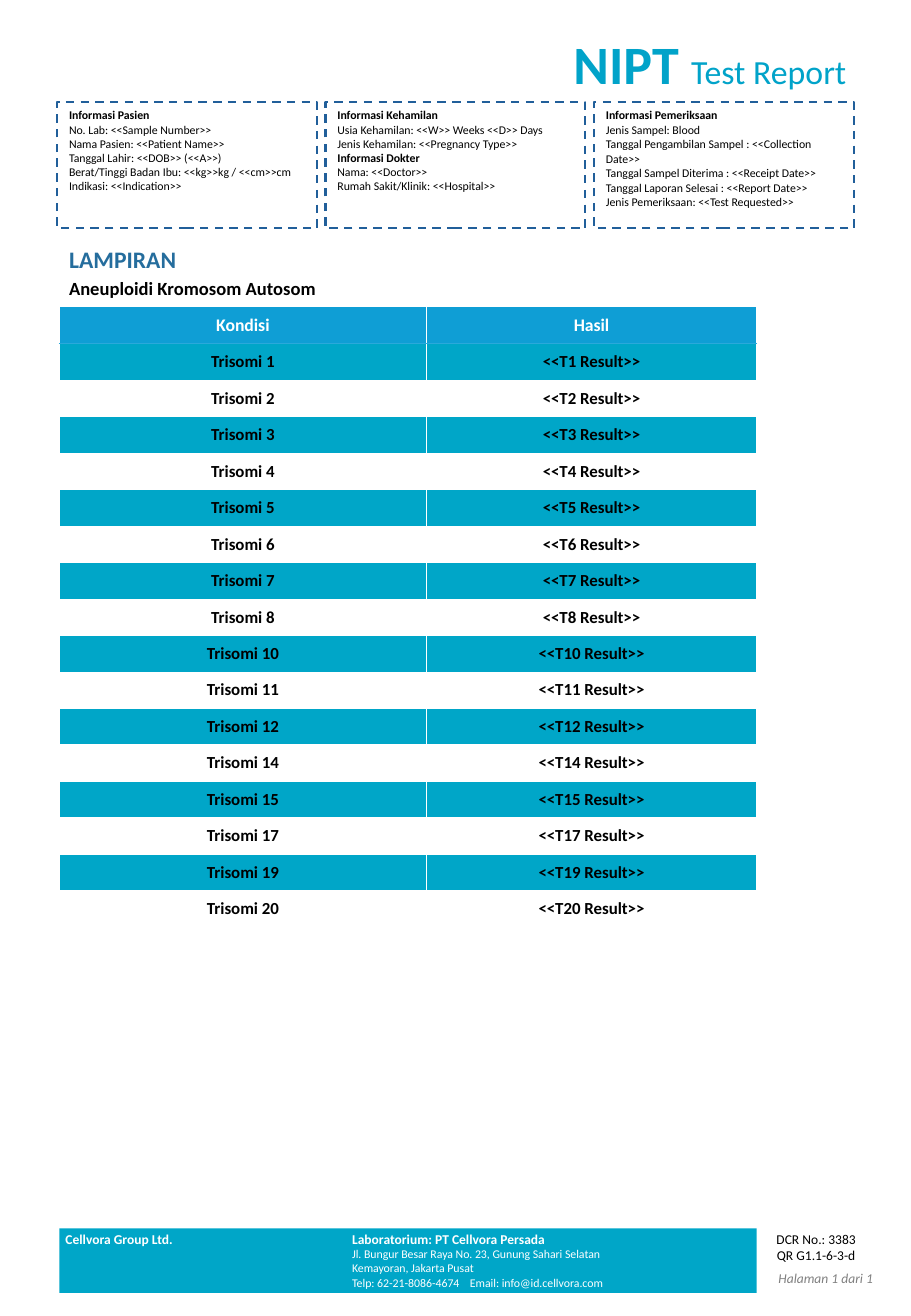
from lxml import etree
from pptx import Presentation, util as u
from pptx.dml.color import RGBColor
from pptx.enum import dml, shapes, text
from pptx.oxml import ns

PX = 9144  # EMU: 100 px to the inch
FONT = "Calibri"
COLORS = {
    "title": "01A3C9", "heading": "256D9D", "panel": "215F9A", "band": "00A6C8",
    "header": "0F9ED5", "header_line": "2AA9DB", "grey": "808080",
    "black": "000000", "white": "FFFFFF",
}
LEFT, CENTER, JUSTIFY = text.PP_ALIGN.LEFT, text.PP_ALIGN.CENTER, text.PP_ALIGN.JUSTIFY

PATIENT = [
    ("Informasi Pasien", True), "No. Lab: <<Sample Number>>", "Nama Pasien: <<Patient Name>>",
    "Tanggal Lahir: <<DOB>> (<<A>>)", "Berat/Tinggi Badan Ibu: <<kg>>kg / <<cm>>cm",
    "Indikasi: <<Indication>>",
]
PREGNANCY = [
    ("Informasi Kehamilan", True), "Usia Kehamilan: <<W>> Weeks <<D>> Days",
    "Jenis Kehamilan: <<Pregnancy Type>>", ("Informasi Dokter", True),
    "Nama: <<Doctor>>", "Rumah Sakit/Klinik: <<Hospital>>",
]
EXAMINATION = [
    ("Informasi Pemeriksaan", True), "Jenis Sampel: Blood",
    "Tanggal Pengambilan Sampel : <<Collection Date>>",
    "Tanggal Sampel Diterima : <<Receipt Date>>",
    "Tanggal Laporan Selesai : <<Report Date>>", "Jenis Pemeriksaan: <<Test Requested>>",
]
TRISOMIES = [1, 2, 3, 4, 5, 6, 7, 8, 10, 11, 12, 14, 15, 17, 19, 20]


def px(*lengths):
    return [u.Emu(length * PX) for length in lengths]


def rgb(name):
    return RGBColor.from_string(COLORS[name])


def style(font, size=None, color=None, bold=None, italic=None):
    font.name = FONT
    font.bold, font.italic = bold, italic
    if size:
        font.size = u.Pt(size)
    if color:
        font.color.rgb = rgb(color)


def add_tab(para, position):
    tabs = etree.SubElement(para._p.get_or_add_pPr(), ns.qn("a:tabLst"))
    etree.SubElement(tabs, ns.qn("a:tab"), pos=str(position * PX), algn="l")


def add_text(page, box, lines, size, color, align=LEFT, italic=None):
    """Each line is a string, or a tuple of string, bold and optional size."""
    frame = page.shapes.add_textbox(*px(*box)).text_frame
    frame.word_wrap = True
    frame.auto_size = text.MSO_AUTO_SIZE.SHAPE_TO_FIT_TEXT
    for index, line in enumerate(lines):
        words, bold, *own_size = line if isinstance(line, tuple) else (line, False)
        para = frame.add_paragraph() if index else frame.paragraphs[0]
        para.add_run().text = words
        para.alignment = align
        if "\t" in words:
            add_tab(para, 118 * 100 // 121)
        style(para.font, own_size[0] if own_size else size, color, bold, italic)
    return frame


def add_rect(page, box):
    rect = page.shapes.add_shape(shapes.MSO_SHAPE.RECTANGLE, *px(*box))
    rect.shadow.inherit = False
    return rect


def add_title(page, box):
    title = page.shapes.title
    title.left, title.top, title.width, title.height = px(*box)
    frame = title.text_frame
    frame.word_wrap = False
    frame.auto_size = text.MSO_AUTO_SIZE.SHAPE_TO_FIT_TEXT
    frame.vertical_anchor = text.MSO_ANCHOR.TOP
    para = frame.paragraphs[0]
    para.alignment = CENTER
    style(para.font, color="title")
    for words, size, bold in (("NIPT ", 32, True), ("Test Report", 20, False)):
        span = para.add_run()
        span.text = words
        span.font.size, span.font.bold = u.Pt(size), bold


def add_panels(page, box):
    left, top, width, height = box
    gap = 7
    panel_width = (width - 2 * gap) // 3
    for index, lines in enumerate((PATIENT, PREGNANCY, EXAMINATION)):
        x = left + index * (panel_width + gap)
        panel = add_rect(page, (x, top, panel_width, height))
        panel.fill.background()
        panel.line.color.rgb = rgb("panel")
        panel.line.width = u.Pt(1.25)
        panel.line.dash_style = dml.MSO_LINE.DASH
        frame = add_text(page, (x, top, panel_width, 81), lines, 7, "black")
        if lines is EXAMINATION:
            for para in frame.paragraphs[2:5]:
                para.space_before = u.Pt(0.4)


def add_border(cell, side, color):
    line = etree.SubElement(cell._tc.get_or_add_tcPr(), ns.qn(f"a:ln{side}"), w=str(u.Pt(0.5)))
    fill = etree.SubElement(line, ns.qn("a:solidFill"))
    etree.SubElement(fill, ns.qn("a:srgbClr"), val=COLORS[color])


def fill_cell(cell, color, opacity=100):
    cell.fill.solid()
    cell.fill.fore_color.rgb = rgb(color)
    if opacity < 100:
        tint = cell._tc.tcPr.find(".//" + ns.qn("a:srgbClr"))
        etree.SubElement(tint, ns.qn("a:alpha"), val=str(opacity * 1000))


def add_results(page, box):
    rows = [("Kondisi", "Hasil")]
    rows += [(f"Trisomi {number}", f"<<T{number} Result>>") for number in TRISOMIES]
    table = page.shapes.add_table(len(rows), 2, *px(*box)).table
    table.first_row = table.horz_banding = False
    table.columns[0].width, table.columns[1].width = px(302, box[2] - 302)
    for r, row in enumerate(rows):
        table.rows[r].height = px(30 if r else 31)[0]
        for c, words in enumerate(row):
            cell = table.cell(r, c)
            cell.vertical_anchor = text.MSO_ANCHOR.MIDDLE
            if c:
                add_border(cell, "L", "white")
            add_border(cell, "R", "white")
            add_border(cell, "T", "header_line" if r == 1 else "white")
            add_border(cell, "B", "white" if r else "header_line")
            if r:
                fill_cell(cell, "band" if r % 2 else "white", 10)
            else:
                fill_cell(cell, "header")
            para = cell.text_frame.paragraphs[0]
            para.add_run().text = words
            para.alignment = CENTER
            style(para.font, 10 if r else 10.5, "black" if r else "white", True)


def add_footer(page, box):
    left, top, width, height = box
    band = add_rect(page, box)
    band.fill.solid()
    band.fill.fore_color.rgb = rgb("band")
    band.line.fill.background()
    text_top = top - 3
    add_text(page, (left - 5, text_top, 298, 24), [("Cellvora Group Ltd.", True)], 8, "white")
    laboratory = [
        ("Laboratorium: PT Cellvora Persada", True, 8),
        "Jl. Bungur Besar Raya No. 23, Gunung Sahari Selatan",
        "Kemayoran, Jakarta Pusat",
        "Telp: 62-21-8086-4674\tEmail: info@id.cellvora.com",
    ]
    add_text(page, (left + 231, text_top, 355, 59), laboratory, 7, "white")
    # Document number and page number beside the band
    right = left + width
    add_text(page, (right + 2, text_top, 94, 37), ["DCR No.: 3383", "QR G1.1-6-3-d"],
             8, "black", CENTER)
    add_text(page, (right + 8, top + 29, 102, 24), ["Halaman 1 dari 1"], 8, "grey", italic=True)


def main():
    deck = Presentation()
    deck.slide_width, deck.slide_height = px(750, 1083)
    page = deck.slides.add_slide(deck.slide_layouts[5])
    # Report head
    add_title(page, (461, 20, 247, 64))
    add_panels(page, (47, 84, 656, 104))
    # Appendix
    add_text(page, (47, 197, 409, 34), [("LAMPIRAN", True)], 14, "heading")
    add_text(page, (47, 223, 656, 29), [("Aneuploidi Kromosom Autosom", True)],
             11, "black", JUSTIFY)
    add_results(page, (49, 252, 574, 511))
    # Page foot
    add_footer(page, (49, 1011, 574, 53))
    deck.save("out.pptx")


if __name__ == "__main__":
    main()
